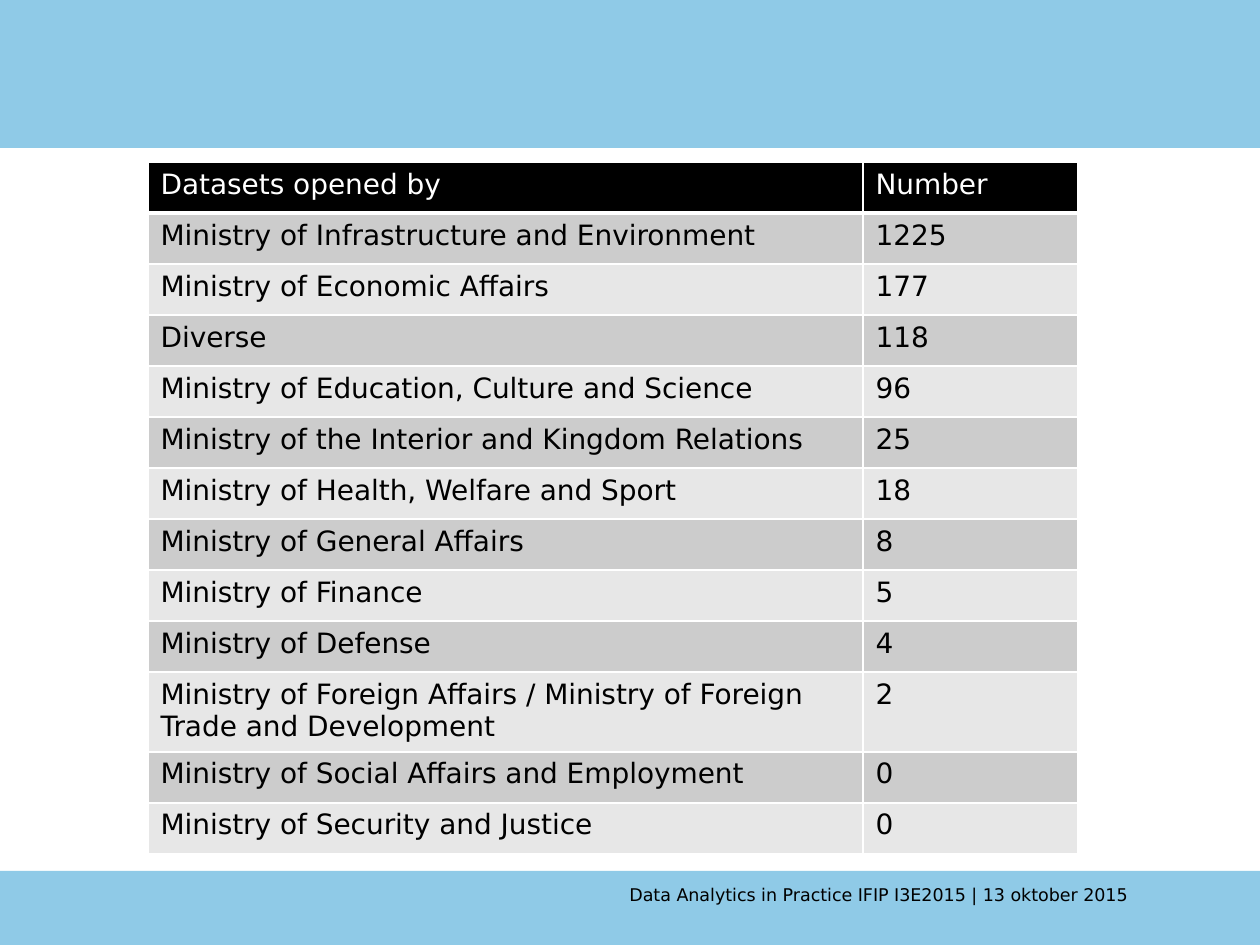
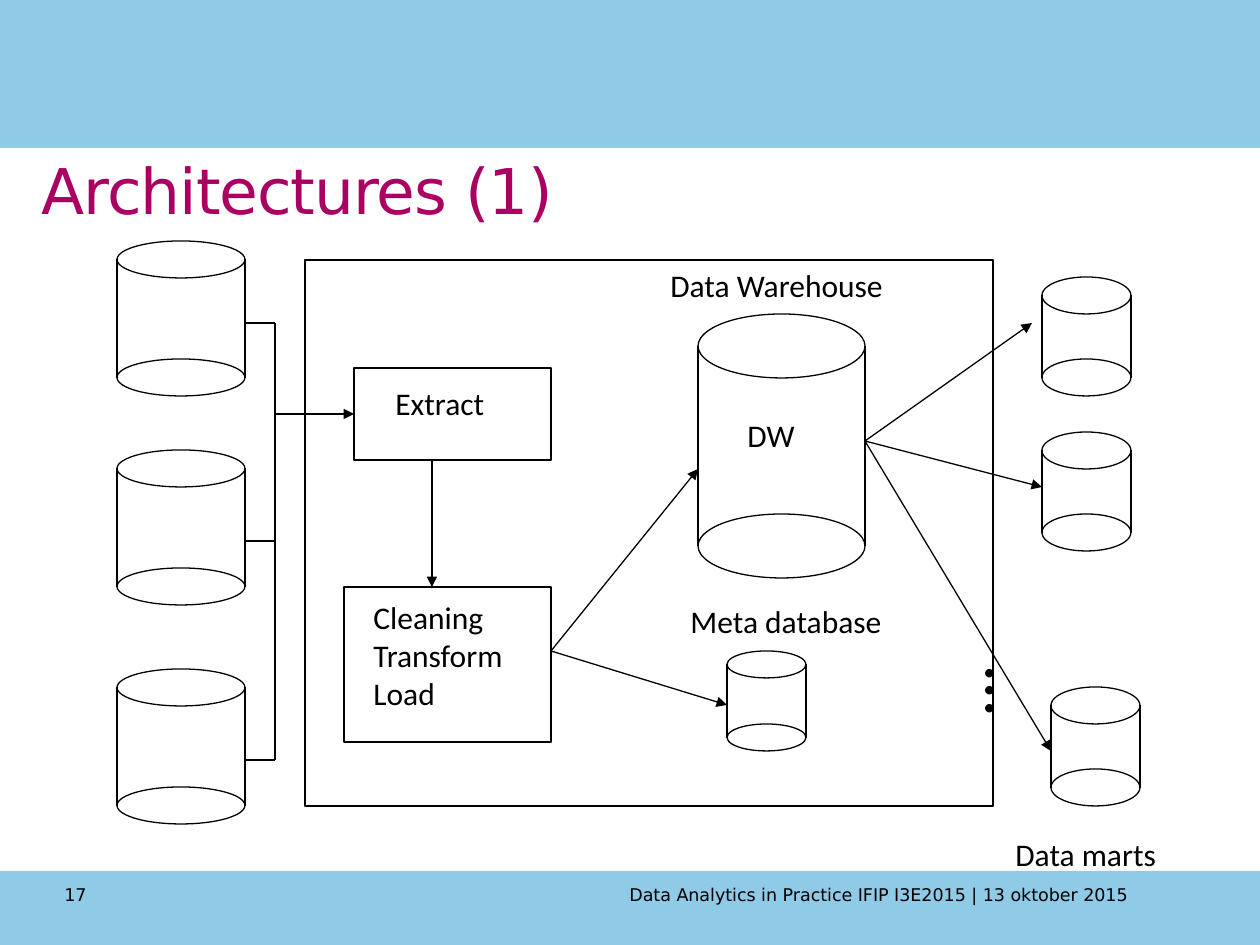
"""Build a dataset table and a data warehouse diagram."""
from dataclasses import dataclass
from typing import Any, NamedTuple

import lxml.etree
import pptx
import pptx.dml.color
import pptx.enum.shapes
import pptx.enum.text
import pptx.oxml.ns
import pptx.util

RGB = pptx.dml.color.RGBColor
SHAPE = pptx.enum.shapes.MSO_SHAPE


@dataclass(frozen=True)
class Theme:
    """Colours, fonts and type sizes."""

    band: RGB = RGB(0x8F, 0xCA, 0xE7)
    title: RGB = RGB(0xA9, 0x00, 0x61)
    black: RGB = RGB(0, 0, 0)
    white: RGB = RGB(255, 255, 255)
    dark: RGB = RGB(0xCC, 0xCC, 0xCC)
    light: RGB = RGB(0xE7, 0xE7, 0xE7)
    main: str = "DejaVu Sans"
    draw: str = "Calibri"
    head: int = 36
    dots: int = 40
    label: int = 18
    cell: int = 16
    foot: int = 10
    stroke: float = 0.75


class Box(NamedTuple):
    """A place in px."""

    x: int
    y: int
    w: int
    h: int


class Drum(NamedTuple):
    """A store drawn as two lids and two sides."""

    box: Box
    lid: int


class Label(NamedTuple):
    """Text with its place."""

    text: str
    box: Box
    size: int
    turn: int = 0


class Line(NamedTuple):
    """A line between two points, with or without a head."""

    x1: int
    y1: int
    x2: int
    y2: int
    head: bool = False


THEME = Theme()
WIDTH, HEIGHT = 1260, 945
BANDS = [Box(0, 0, WIDTH, 148), Box(0, 871, WIDTH, 74)]
FOOT = "Data Analytics in Practice IFIP I3E2015 | 13 oktober 2015"

ROWS = [
    ("Datasets opened by", "Number"),
    ("Ministry of Infrastructure and Environment", "1225"),
    ("Ministry of Economic Affairs", "177"),
    ("Diverse", "118"),
    ("Ministry of Education, Culture and Science", "96"),
    ("Ministry of the Interior and Kingdom Relations", "25"),
    ("Ministry of Health, Welfare and Sport", "18"),
    ("Ministry of General Affairs", "8"),
    ("Ministry of Finance", "5"),
    ("Ministry of Defense", "4"),
    ("Ministry of Foreign Affairs / Ministry of Foreign Trade and Development", "2"),
    ("Ministry of Social Affairs and Employment", "0"),
    ("Ministry of Security and Justice", "0"),
]
COLS = (715, 215)
PITCH = 51

DRUMS = [
    *(Drum(Box(117, y, 128, 155), 37) for y in (241, 450, 669)),
    Drum(Box(698, 314, 167, 264), 64),
    Drum(Box(727, 651, 79, 100), 27),
    *(Drum(Box(x, y, 89, 119), 37) for x, y in ((1042, 277), (1042, 432), (1051, 687))),
]
FRAMES = [Box(305, 260, 688, 546), Box(354, 368, 197, 92), Box(344, 587, 207, 155)]
TAPS = (323, 541, 760)
LINES = [
    Line(275, TAPS[0], 275, TAPS[-1]),
    *(Line(245, y, 275, y) for y in TAPS),
    Line(275, 414, 354, 414, True),
    Line(432, 460, 432, 587, True),
    *(Line(551, 651, x, y, True) for x, y in ((698, 469), (727, 705))),
    *(Line(865, 441, x, y, True) for x, y in ((1032, 323), (1042, 487), (1051, 751))),
]
LABELS = [
    Label("Extract", Box(383, 378, 115, 50), THEME.label),
    Label("Cleaning\nTransform\nLoad", Box(361, 592, 156, 127), THEME.label),
    Label("DW", Box(735, 410, 73, 50), THEME.label),
    Label("Data Warehouse", Box(658, 260, 241, 50), THEME.label),
    Label("Meta database", Box(678, 596, 218, 50), THEME.label),
    Label("Data marts", Box(1003, 829, 208, 50), THEME.label),
    Label("...", Box(926, 642, 79, 97), THEME.dots, 270),
]


def px(size: int) -> int:
    """Turn px into EMU."""
    return round(size * 914400 / 126)


def emu(box: Box) -> list[int]:
    """Turn a place into EMU."""
    return [px(side) for side in box]


def style(frame: Any, face: str, size: int, ink: RGB) -> None:
    """Set the font of every paragraph."""
    for para in frame.paragraphs:
        para.font.name = face
        para.font.size = pptx.util.Pt(size)
        para.font.bold = False
        para.font.color.rgb = ink


def add_text(slide: Any, label: Label, face: str) -> None:
    """Add a text box that does not wrap."""
    shape = slide.shapes.add_textbox(*emu(label.box))
    shape.rotation = label.turn
    shape.text_frame.word_wrap = False
    shape.text_frame.text = label.text
    style(shape.text_frame, face, label.size, THEME.black)


def add_form(slide: Any, kind: Any, box: Box, fill: RGB | None = None) -> None:
    """Add a filled shape without a line, or an outline without a fill."""
    shape = slide.shapes.add_shape(kind, *emu(box))
    shape.shadow.inherit = False
    if fill is not None:
        shape.fill.solid()
        shape.fill.fore_color.rgb = fill
        shape.line.fill.background()
    else:
        shape.fill.background()
        shape.line.color.rgb = THEME.black
        shape.line.width = pptx.util.Pt(THEME.stroke)


def add_line(slide: Any, line: Line) -> None:
    """Add a thin black line or arrow."""
    kind = pptx.enum.shapes.MSO_CONNECTOR.STRAIGHT
    shape = slide.shapes.add_connector(kind, *(px(end) for end in line[:4]))
    shape.line.color.rgb = THEME.black
    shape.line.width = pptx.util.Pt(THEME.stroke)
    props = shape.element.spPr
    qn = pptx.oxml.ns.qn
    if line.head:
        lxml.etree.SubElement(props.find(qn("a:ln")), qn("a:tailEnd"), type="triangle")
    lxml.etree.SubElement(props, qn("a:effectLst"))


def add_drum(slide: Any, drum: Drum) -> None:
    """Add both lids and both sides of a store."""
    x, y, w, h = drum.box
    for top in (y, y + h - drum.lid):
        add_form(slide, SHAPE.OVAL, Box(x, top, w, drum.lid))
    half = drum.lid // 2
    for side in (x, x + w):
        add_line(slide, Line(side, y + half, side, y + h - half))


def add_edge(cell: Any, first: bool) -> None:
    """Give a cell white borders, thick under the first row."""
    qn = pptx.oxml.ns.qn
    props = cell._tc.get_or_add_tcPr()
    for side in "LRTB":
        width = 3 if first and side == "B" else 1
        edge = lxml.etree.SubElement(props, qn(f"a:ln{side}"), w=str(pptx.util.Pt(width)))
        fill = lxml.etree.SubElement(edge, qn("a:solidFill"))
        lxml.etree.SubElement(fill, qn("a:srgbClr"), val=str(THEME.white))


def add_grid(slide: Any) -> None:
    """Add the table of datasets."""
    box = Box(148, 162, sum(COLS), PITCH * len(ROWS))
    table = slide.shapes.add_table(len(ROWS), len(COLS), *emu(box)).table
    for col, width in zip(table.columns, COLS):
        col.width = px(width)
    for i, row in enumerate(ROWS):
        table.rows[i].height = px(PITCH)
        shade = THEME.dark if i % 2 else THEME.light
        for j, text in enumerate(row):
            cell = table.cell(i, j)
            add_edge(cell, i == 0)
            cell.fill.solid()
            cell.fill.fore_color.rgb = shade if i else THEME.black
            cell.text = text
            ink = THEME.black if i else THEME.white
            style(cell.text_frame, THEME.main, THEME.cell, ink)


def add_title(slide: Any, text: str) -> None:
    """Place and format the title."""
    title = slide.shapes.title
    title.left, title.top, title.width, title.height = emu(Box(29, 141, 1081, 79))
    frame = title.text_frame
    frame.text = text
    frame.auto_size = pptx.enum.text.MSO_AUTO_SIZE.NONE
    frame.vertical_anchor = pptx.enum.text.MSO_ANCHOR.TOP
    frame.margin_top = px(11)
    para = frame.paragraphs[0]
    para.alignment = pptx.enum.text.PP_ALIGN.LEFT
    para.runs[0]._r.get_or_add_rPr().set("spc", "-60")
    style(frame, THEME.main, THEME.head, THEME.title)


def add_slide(deck: Any, layout: str) -> Any:
    """Add a slide with bands and footer."""
    slide = deck.slides.add_slide(deck.slide_layouts.get_by_name(layout))
    for band in BANDS:
        add_form(slide, SHAPE.RECTANGLE, band, THEME.band)
    add_text(slide, Label(FOOT, Box(617, 878, 573, 49), THEME.foot), THEME.main)
    return slide


def add_plan(slide: Any) -> None:
    """Draw the warehouse with its stores, steps and flows."""
    for frame in FRAMES:
        add_form(slide, SHAPE.RECTANGLE, frame)
    for drum in DRUMS:
        add_drum(slide, drum)
    for line in LINES:
        add_line(slide, line)
    for label in LABELS:
        add_text(slide, label, THEME.draw)


def main() -> None:
    """Build and save both slides."""
    deck = pptx.Presentation()
    deck.slide_width, deck.slide_height = px(WIDTH), px(HEIGHT)
    add_grid(add_slide(deck, "Blank"))
    slide = add_slide(deck, "Title Only")
    add_title(slide, "Architectures (1)")
    add_plan(slide)
    add_text(slide, Label("17", Box(52, 878, 98, 49), THEME.foot), THEME.main)
    deck.save("out.pptx")


if __name__ == "__main__":
    main()
